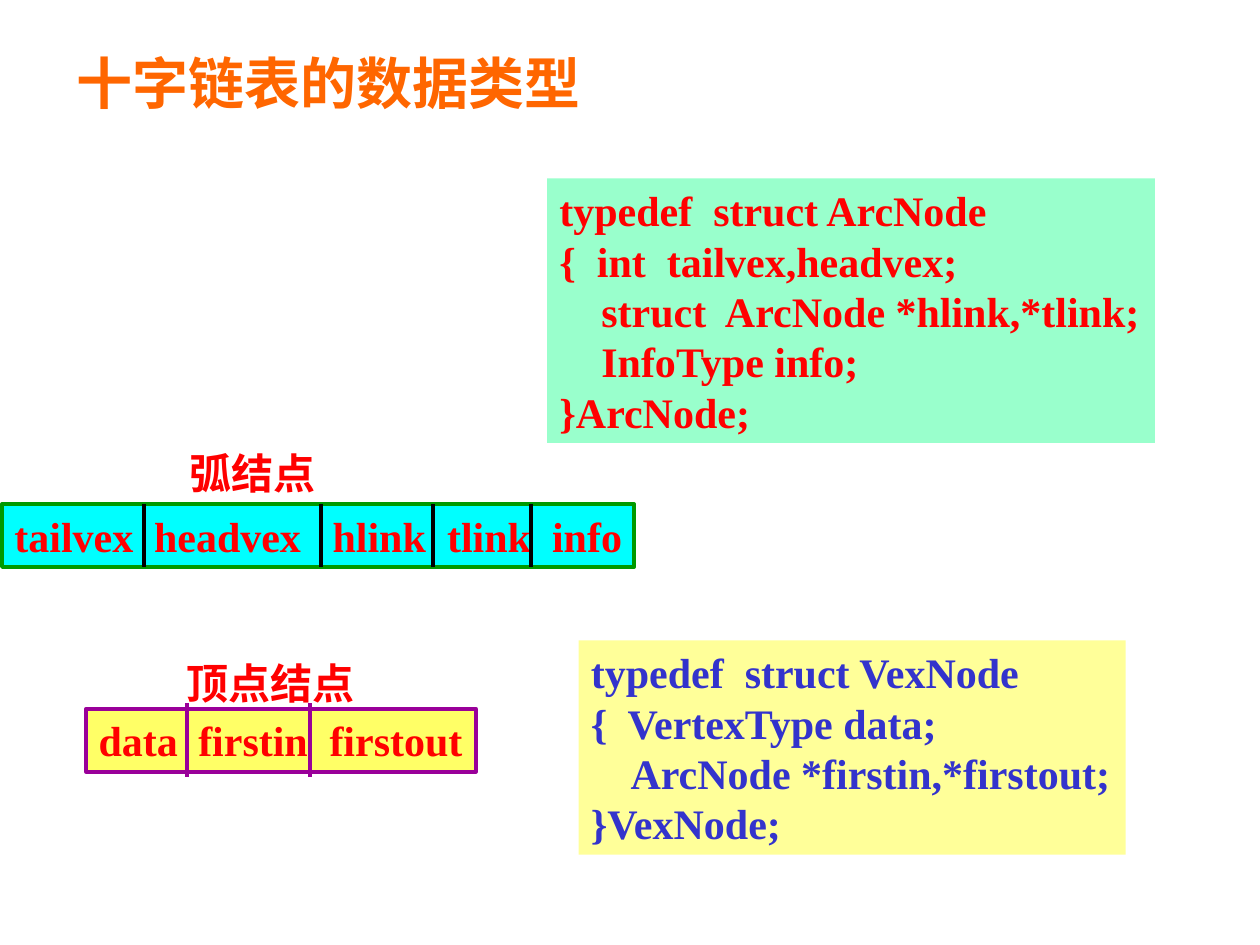
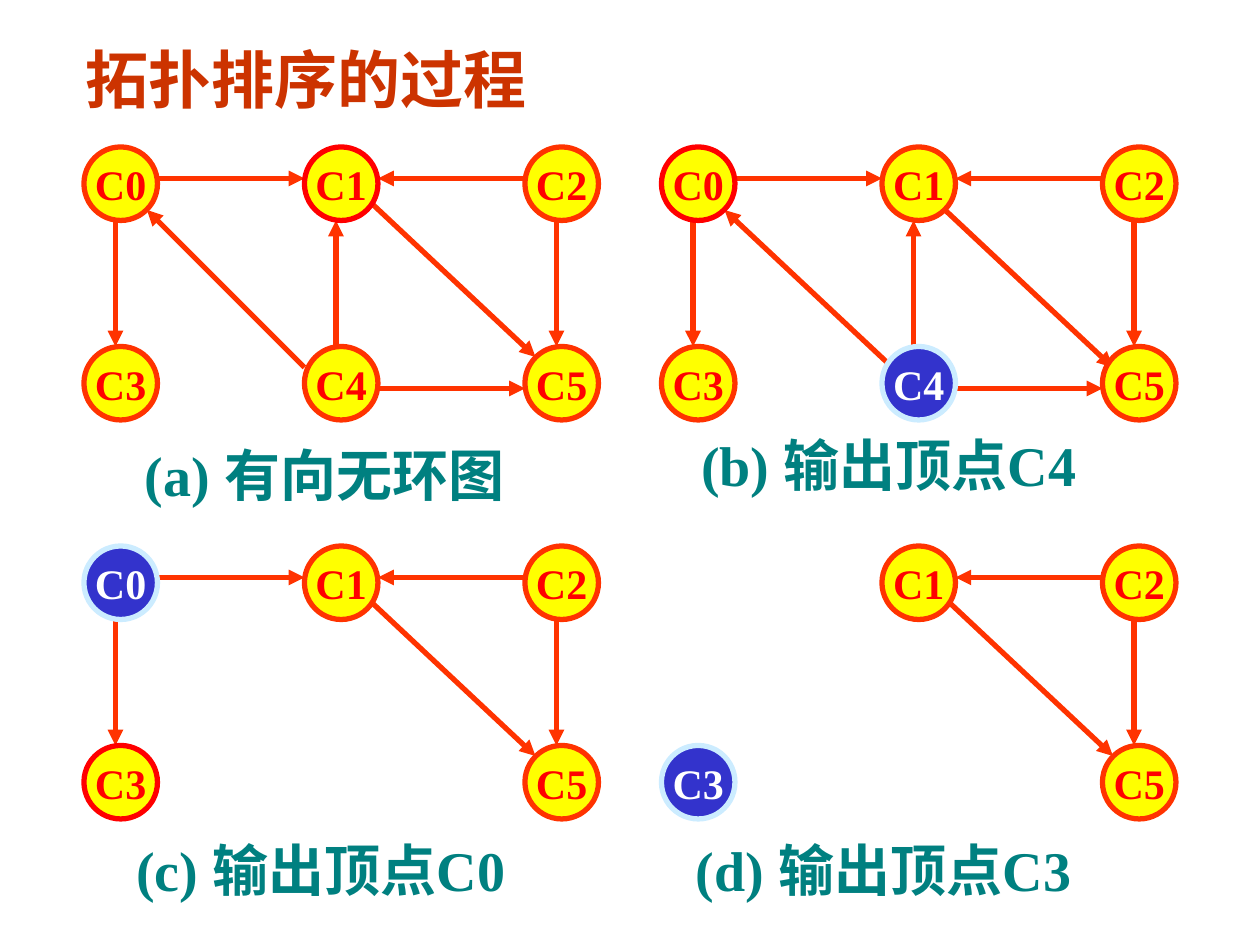
from dataclasses import dataclass, field
from typing import Optional

from lxml import etree
from pptx import Presentation, util as u
from pptx.dml.color import RGBColor
from pptx.enum import shapes, text
from pptx.oxml import ns

EMU_PER_PX = 7620  # 120 px to the inch
FONT = "Times New Roman"
RED, WHITE, BLUE, TEAL = "FF0000", "FFFFFF", "3333CC", "008080"
EDGE_COLOR = "FF3300"

Point = tuple[int, int]
Box = tuple[int, int, int, int]
Edge = tuple[Point, Point]

NODE_SIZE = 70
NODES: dict[str, Point] = {
    f"C{i}": (80 + 210 * (i % 3), 140 + 190 * (i // 3)) for i in range(6)
}
EDGES: dict[tuple[str, str], Edge] = {
    ("C0", "C1"): ((150, 170), (290, 170)),
    ("C2", "C1"): ((500, 170), (360, 170)),
    ("C0", "C3"): ((110, 210), (110, 330)),
    ("C4", "C1"): ((320, 330), (320, 210)),
    ("C4", "C0"): ((290, 350), (140, 200)),
    ("C4", "C5"): ((360, 370), (500, 370)),
    ("C2", "C5"): ((530, 210), (530, 330)),
    ("C1", "C5"): ((350, 190), (510, 340)),
}
SHIFTED_EDGES = EDGES | {
    ("C4", "C0"): ((300, 350), (140, 200)),
    ("C1", "C5"): ((350, 200), (510, 350)),
}


@dataclass(frozen=True)
class TextStyle:
    size: int
    color: str
    align: text.PP_ALIGN = text.PP_ALIGN.LEFT


FIELD_STYLE = TextStyle(24, RED)
CAPTION_STYLE = TextStyle(32, TEAL)


@dataclass(frozen=True)
class Record:
    """A node layout: captioned row of fields cut by dividers."""
    caption: str
    caption_box: Box
    box: Box
    fields: tuple[str, ...]
    tabs: tuple[int, ...]
    dividers: tuple[int, ...]
    overhang: int
    fill: str
    border: str
    divider_color: str


@dataclass(frozen=True)
class CodeBlock:
    box: Box
    fill: str
    color: str
    source: str


@dataclass(frozen=True)
class Panel:
    """One step of the sort; removed vertices and their edges are gone."""
    caption: str
    caption_box: Box
    offset: Point
    removed: str = ""
    output: str = ""
    highlighted: str = ""
    edges: dict[tuple[str, str], Edge] = field(default_factory=lambda: EDGES)


RECORDS = (
    Record("顶点结点", (166, 620, 184, 60), (82, 675, 371, 60),
           ("data", "firstin", "firstout"), (95, 220), (178, 295), 5,
           "FFFF66", "990099", "990099"),
    Record("弧结点", (169, 420, 146, 60), (2, 480, 602, 60),
           ("tailvex", "headvex", "hlink", "tlink", "info"),
           (133, 303, 412, 512), (137, 306, 412, 506), 0,
           "00FFFF", "009900", "000000"),
)

CODE_BLOCKS = (
    CodeBlock((521, 170, 579, 252), "99FFCC", RED, """\
typedef  struct ArcNode
{  int  tailvex,headvex;
    struct  ArcNode *hlink,*tlink;
    InfoType info;
}ArcNode;"""),
    CodeBlock((551, 610, 521, 204), "FFFF99", BLUE, """\
typedef  struct VexNode
{  VertexType data;
    ArcNode *firstin,*firstout;
}VexNode;"""),
)

PANELS = (
    Panel("(a) 有向无环图", (126, 414, 382, 77), (0, 0), highlighted="C1"),
    Panel("(b) 输出顶点C4", (656, 404, 408, 77), (550, 0),
          output="C4", highlighted="C0", edges=SHIFTED_EDGES),
    Panel("(c) 输出顶点C0", (118, 790, 402, 77), (0, 380),
          removed="C4", output="C0", highlighted="C3"),
    Panel("(d) 输出顶点C3", (651, 790, 408, 77), (550, 380),
          removed="C4 C0", output="C3"),
)


def px(length: int) -> u.Emu:
    return u.Emu(length * EMU_PER_PX)


def rgb(color: str) -> RGBColor:
    return RGBColor.from_string(color)


def write(shape, content: str, style: TextStyle, wrap: bool = False,
          grow: bool = False, anchor=text.MSO_ANCHOR.TOP,
          tabs: tuple[int, ...] = ()) -> None:
    """Fill a shape with one bold paragraph per line."""
    frame = shape.text_frame
    frame.word_wrap = wrap
    frame.auto_size = (text.MSO_AUTO_SIZE.SHAPE_TO_FIT_TEXT if grow
                       else text.MSO_AUTO_SIZE.NONE)
    frame.vertical_anchor = anchor
    for index, line in enumerate(content.split("\n")):
        paragraph = frame.add_paragraph() if index else frame.paragraphs[0]
        paragraph.add_run().text = line
        paragraph.alignment = style.align
        if tabs:
            tab_list = etree.SubElement(
                paragraph._p.get_or_add_pPr(), ns.qn("a:tabLst"))
            for position in tabs:
                etree.SubElement(tab_list, ns.qn("a:tab"),
                                 pos=str(px(position)), algn="l")
        font = paragraph.font
        font.name, font.size, font.bold = FONT, u.Pt(style.size), True
        font.color.rgb = rgb(style.color)


def add_label(slide, box: Box, content: str, style: TextStyle, **options) -> None:
    """Add a one-line text box that grows with its text unless it wraps."""
    write(slide.shapes.add_textbox(*map(px, box)), content, style,
          grow=not options.get("wrap"), **options)


def add_filled(slide, kind, box: Box, fill: str,
               border: Optional[str] = None, width: float = 2.25):
    shape = slide.shapes.add_shape(kind, *map(px, box))
    shape.shadow.inherit = False
    shape.fill.solid()
    shape.fill.fore_color.rgb = rgb(fill)
    if border:
        shape.line.color.rgb = rgb(border)
        shape.line.width = u.Pt(width)
    else:
        shape.line.fill.background()
    return shape


def add_line(slide, start: Point, end: Point, color: str,
             width: float, arrow: bool = False) -> None:
    connector = slide.shapes.add_connector(
        shapes.MSO_CONNECTOR.STRAIGHT, *map(px, start + end))
    connector.line.color.rgb = rgb(color)
    connector.line.width = u.Pt(width)
    if arrow:
        etree.SubElement(connector.line._get_or_add_ln(),
                         ns.qn("a:tailEnd"), type="triangle")
    etree.SubElement(connector._element.spPr, ns.qn("a:effectLst"))


def add_record(slide, record: Record) -> None:
    row = add_filled(slide, shapes.MSO_SHAPE.RECTANGLE, record.box,
                     record.fill, record.border)
    row.text_frame.margin_right = 0
    write(row, "\t".join(record.fields), FIELD_STYLE, wrap=True, tabs=record.tabs)
    _, top, _, height = record.box
    for x in record.dividers:
        add_line(slide, (x, top - record.overhang),
                 (x, top + height + record.overhang), record.divider_color, 2.25)
    add_label(slide, record.caption_box, record.caption, FIELD_STYLE)


def add_code(slide, block: CodeBlock) -> None:
    shape = add_filled(slide, shapes.MSO_SHAPE.RECTANGLE, block.box, block.fill)
    write(shape, block.source, TextStyle(24, block.color), grow=True)


def add_panel(slide, panel: Panel) -> None:
    dx, dy = panel.offset
    removed = panel.removed.split()
    for ends, points in panel.edges.items():
        if not set(ends) & set(removed):
            start, end = ((x + dx, y + dy) for x, y in points)
            add_line(slide, start, end, EDGE_COLOR, 3, arrow=True)
    for name, (x, y) in NODES.items():
        if name in removed:
            continue
        fill, border, color = "FFFF00", EDGE_COLOR, RED
        if name == panel.output:
            fill, border, color = BLUE, "CCECFF", WHITE
        elif name == panel.highlighted:
            border = RED
        node = add_filled(slide, shapes.MSO_SHAPE.OVAL,
                          (x + dx, y + dy, NODE_SIZE, NODE_SIZE), fill, border, 3)
        write(node, name, TextStyle(24, color, text.PP_ALIGN.CENTER),
              anchor=text.MSO_ANCHOR.MIDDLE)
    add_label(slide, panel.caption_box, panel.caption, CAPTION_STYLE)


def build_types_slide(slide) -> None:
    for record in RECORDS:
        add_record(slide, record)
    for block in CODE_BLOCKS:
        add_code(slide, block)
    add_label(slide, (61, 40, 507, 77), "十字链表的数据类型", TextStyle(32, "FF6600"))


def build_sort_slide(slide) -> None:
    add_label(slide, (70, 30, 500, 90), "拓扑排序的过程", TextStyle(36, "CC3300"),
              wrap=True, anchor=text.MSO_ANCHOR.MIDDLE)
    for panel in PANELS:
        add_panel(slide, panel)


def main() -> None:
    presentation = Presentation()
    presentation.slide_width, presentation.slide_height = px(1200), px(900)
    blank = presentation.slide_layouts[6]
    for build in (build_types_slide, build_sort_slide):
        build(presentation.slides.add_slide(blank))
    presentation.save("out.pptx")


if __name__ == "__main__":
    main()
